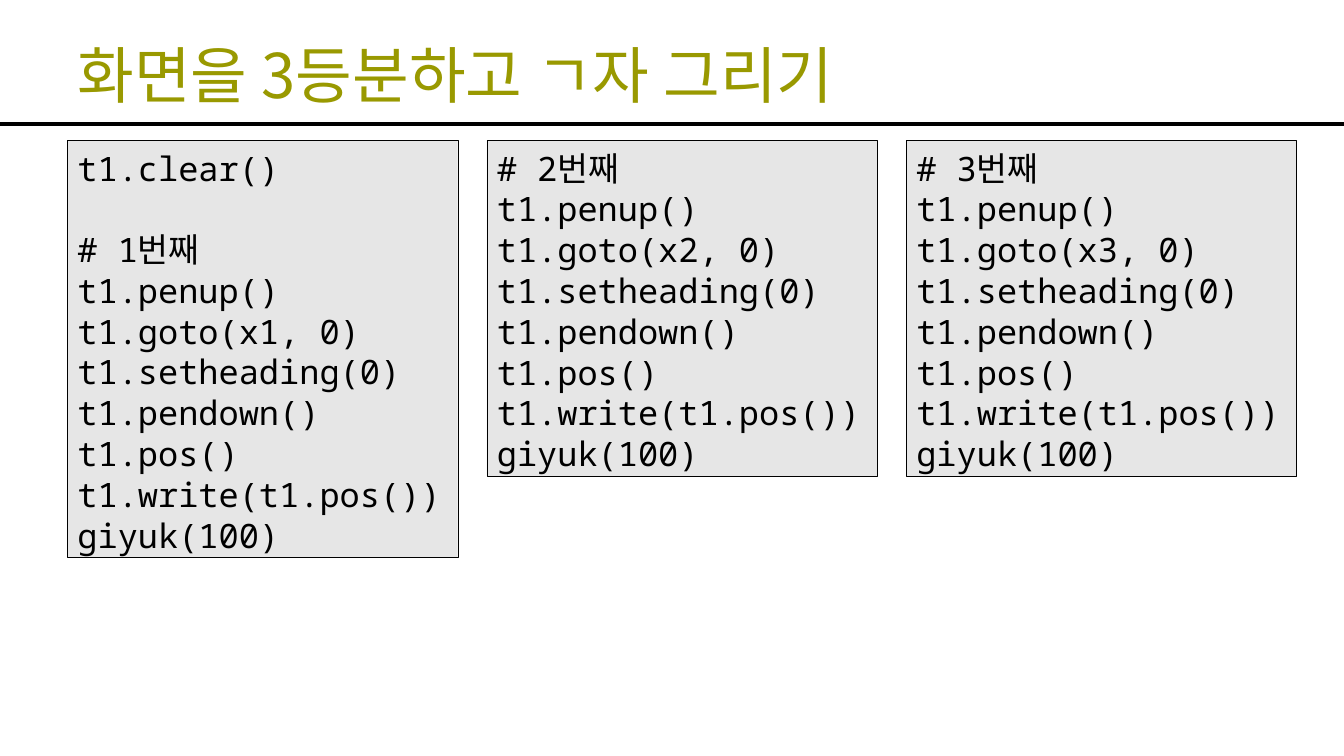
from dataclasses import dataclass

from lxml.etree import SubElement
from pptx import Presentation
from pptx.dml.color import RGBColor as RGB
from pptx.enum.shapes import MSO_CONNECTOR as Connector, MSO_SHAPE as Shape
from pptx.enum.text import MSO_ANCHOR as Anchor, MSO_AUTO_SIZE as AutoSize, PP_ALIGN as Align
from pptx.oxml.ns import qn
from pptx.util import Inches, Pt


@dataclass(frozen=True)
class Theme:
    title: RGB = RGB(0x99, 0x99, 0x00)
    ink: RGB = RGB(0, 0, 0)
    panel: RGB = RGB(0xE6, 0xE6, 0xE6)
    hangul_font: str = "Noto Sans CJK KR"
    code_font: str = "Noto Sans Mono"
    title_size: Pt = Pt(44)
    code_size: Pt = Pt(24)
    code_pitch: Pt = Pt(29.1)
    rule_width: Pt = Pt(3)
    border_width: Pt = Pt(0.25)


class SlideBuilder:
    def __init__(self, slide, theme):
        self.shapes = slide.shapes
        self.theme = theme

    def apply(self, target, formats):
        for name, value in formats.items():
            setattr(target, name, value)

    def add_text(self, paragraph, text, font, size, color):
        run = paragraph.add_run()
        run.text = text
        self.apply(run.font, {"name": font, "size": size})
        run.font.color.rgb = color
        SubElement(run.font._element, qn("a:ea"), typeface=self.theme.hangul_font)

    def rule(self, y, width):
        line = self.shapes.add_connector(
            Connector.STRAIGHT, 0, Inches(y), Inches(width), Inches(y))
        line.line.color.rgb = self.theme.ink
        line.line.width = self.theme.rule_width
        SubElement(line._element.spPr, qn("a:effectLst"))

    def title(self, text, left, top, width, height):
        frame = self.shapes.add_textbox(*map(Inches, (left, top, width, height))).text_frame
        self.apply(frame, {"word_wrap": True, "vertical_anchor": Anchor.BOTTOM})
        self.add_text(frame.paragraphs[0], text, self.theme.hangul_font,
                      self.theme.title_size, self.theme.title)

    def code(self, blocks, left, top, width):
        theme = self.theme
        pitches = sum(map(len, blocks)) + len(blocks) - 1
        height = Inches(0.1) + pitches * theme.code_pitch
        panel = self.shapes.add_shape(
            Shape.RECTANGLE, Inches(left), Inches(top), Inches(width), height)
        panel.shadow.inherit = False
        panel.fill.solid()
        panel.fill.fore_color.rgb = theme.panel
        panel.line.color.rgb = theme.ink
        panel.line.width = theme.border_width
        frame = panel.text_frame
        self.apply(frame, {
            "word_wrap": True, "vertical_anchor": Anchor.TOP,
            "auto_size": AutoSize.SHAPE_TO_FIT_TEXT,
            "margin_top": Inches(0.07), "margin_bottom": Inches(0.03),
        })
        paragraph = None
        for block_index, block in enumerate(blocks):
            for line_index, text in enumerate(block):
                paragraph = frame.add_paragraph() if paragraph else frame.paragraphs[0]
                starts_block = block_index > 0 and line_index == 0
                self.apply(paragraph, {
                    "alignment": Align.LEFT, "line_spacing": theme.code_pitch,
                    "space_before": theme.code_pitch if starts_block else Pt(0),
                })
                self.add_text(paragraph, text, theme.code_font, theme.code_size, theme.ink)


def drawing_steps(number):
    return [
        f"# {number}번째", "t1.penup()", f"t1.goto(x{number}, 0)",
        "t1.setheading(0)", "t1.pendown()", "t1.pos()",
        "t1.write(t1.pos())", "giyuk(100)",
    ]


SLIDE_WIDTH, SLIDE_HEIGHT = 13.33, 7.5
MARGIN, CODE_TOP, CODE_WIDTH, CODE_STEP = 0.67, 1.39, 3.87, 4.16

deck = Presentation()
deck.slide_width, deck.slide_height = Inches(SLIDE_WIDTH), Inches(SLIDE_HEIGHT)
lesson = SlideBuilder(deck.slides.add_slide(deck.slide_layouts[6]), Theme())

lesson.rule(1.23, SLIDE_WIDTH)
lesson.title("화면을 3등분하고 ㄱ자 그리기", MARGIN, 0.3, 12.2, 0.85)
for column in range(3):
    setup = [["t1.clear()"]] if column == 0 else []
    lesson.code(setup + [drawing_steps(column + 1)],
                MARGIN + column * CODE_STEP, CODE_TOP, CODE_WIDTH)

deck.save("out.pptx")
